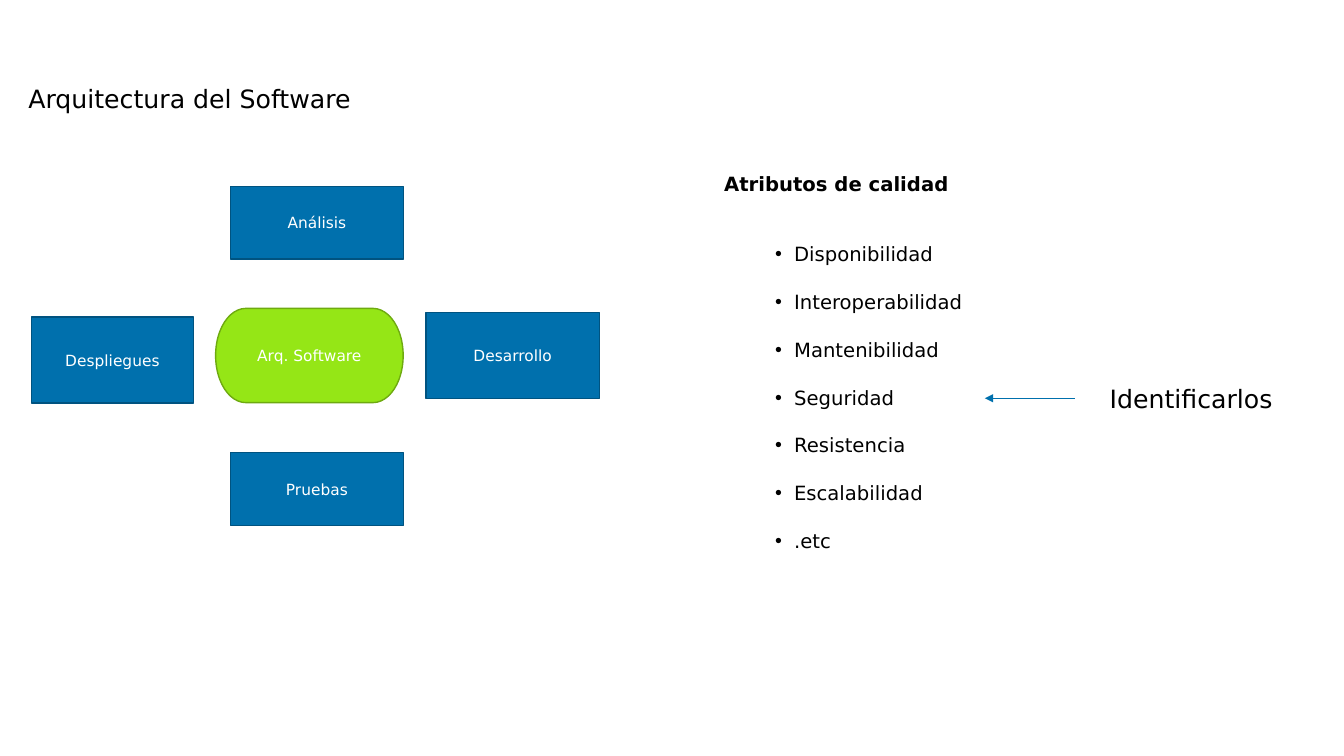
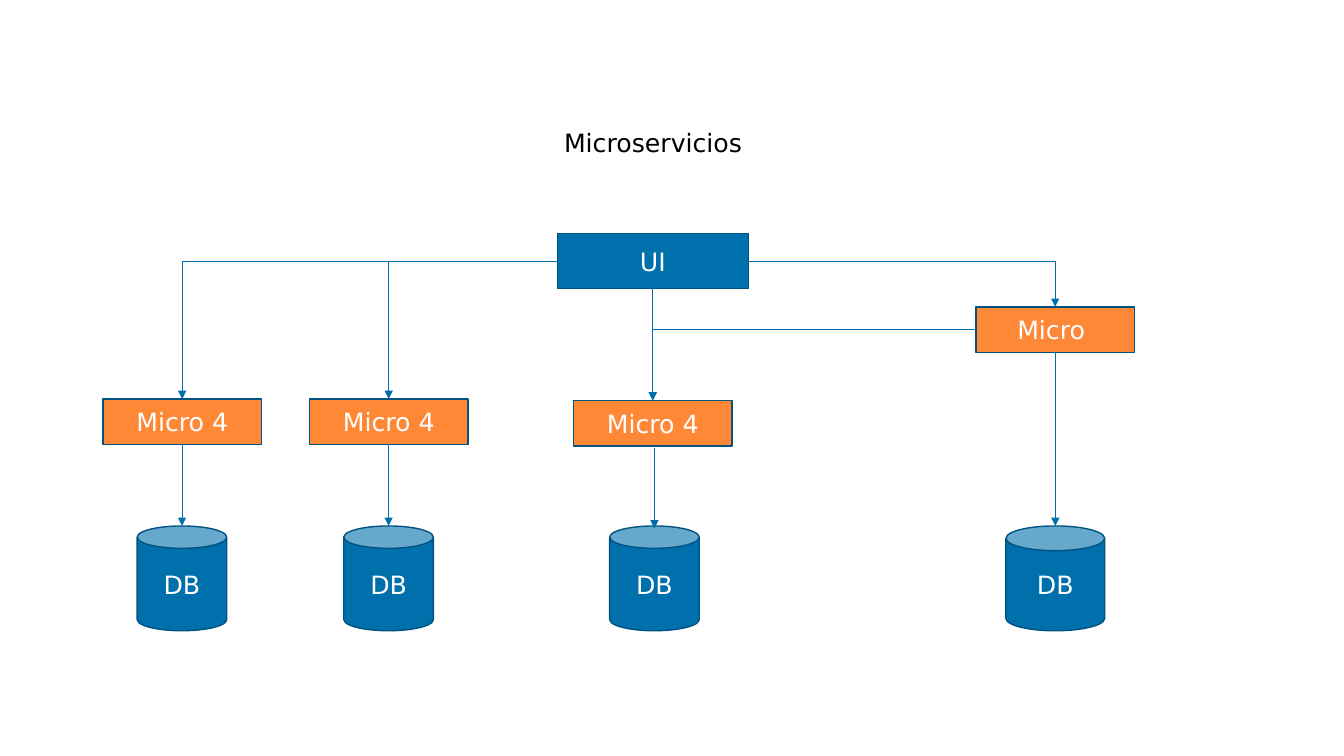
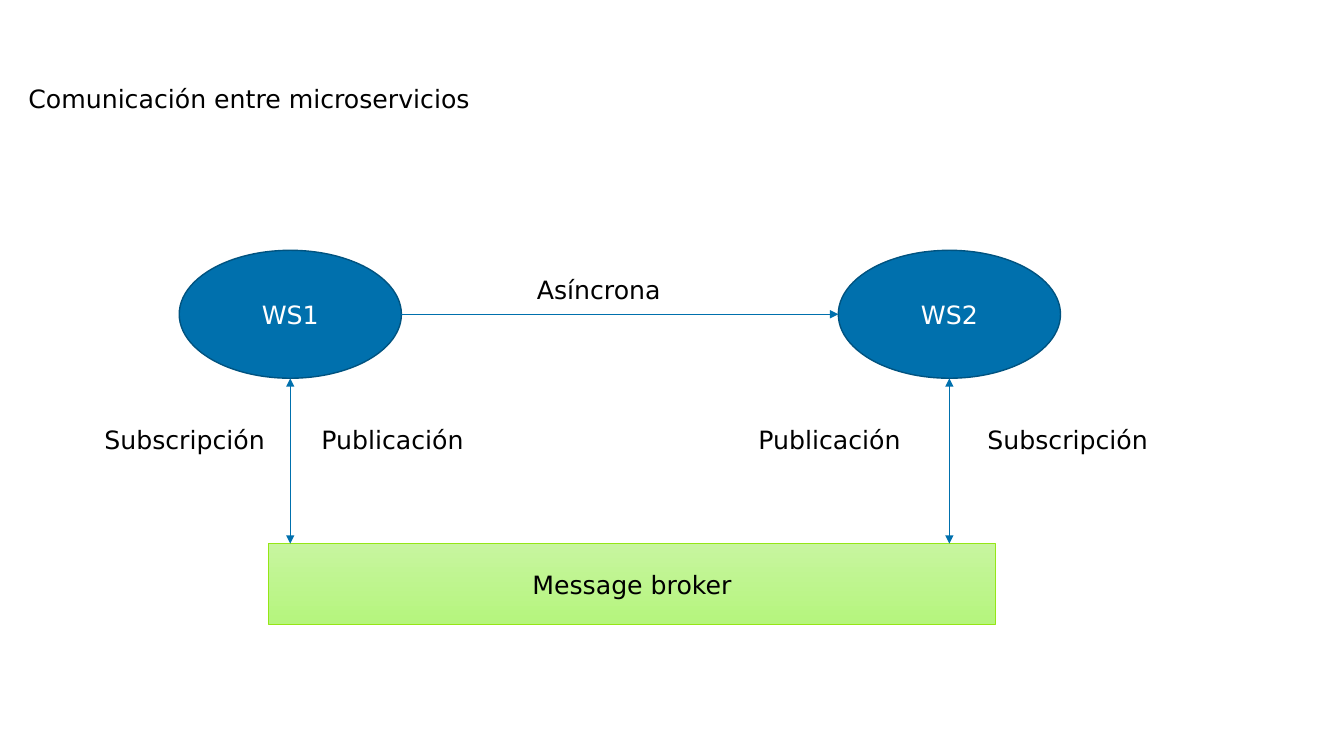
from lxml.etree import SubElement
from pptx import Presentation
from pptx.dml.color import RGBColor
from pptx.enum.shapes import MSO_CONNECTOR as LINK, MSO_SHAPE as SHAPE
from pptx.enum.text import MSO_ANCHOR as ANCHOR, MSO_AUTO_SIZE as AUTOSIZE, PP_ALIGN as ALIGN
from pptx.oxml.ns import qn
from pptx.util import Pt

FONT = "DejaVu Sans"
BLACK = RGBColor(0x00, 0x00, 0x00)
WHITE = RGBColor(0xFF, 0xFF, 0xFF)
BLUE = RGBColor(0x00, 0x70, 0xAD)
DARK_BLUE = RGBColor(0x00, 0x53, 0x80)
ORANGE = RGBColor(0xFF, 0x88, 0x37)
GREEN = RGBColor(0x95, 0xE6, 0x16)
DARK_GREEN = RGBColor(0x6E, 0xAA, 0x10)
PALE_GREEN = RGBColor(0xC7, 0xF5, 0x9F)
SOFT_GREEN = RGBColor(0xB5, 0xF5, 0x7D)

TITLE_AND_CONTENT, TITLE_ONLY = 1, 5


def write(frame, text, size=18, color=BLACK, align=ALIGN.LEFT, bold=False,
          before=0, spacing=1.0, indent=0, bullet=None):
    """Add a paragraph to the frame, filling its first one if that is empty."""
    para = frame.paragraphs[0]
    if para.runs:
        para = frame.add_paragraph()
    properties = para._p.get_or_add_pPr()
    properties.set("marL", str(Pt(indent)))
    if bullet:
        properties.set("indent", str(Pt(-13.5)))
        SubElement(properties, qn("a:buFont"), typeface="Arial")
        SubElement(properties, qn("a:buChar"), char=bullet)
    else:
        properties.set("indent", "0")
        SubElement(properties, qn("a:buNone"))
    para.alignment = align
    para.line_spacing = spacing
    para.space_before = Pt(before)
    span = para.add_run()
    span.text = text
    span.font.name = FONT
    span.font.size = Pt(size)
    span.font.bold = bold
    span.font.color.rgb = color


def side(box, name):
    """Return the midpoint of the named side of a box."""
    across = {"left": 0, "right": 1}.get(name, 0.5)
    down = {"top": 0, "bottom": 1}.get(name, 0.5)
    return int(box.left + across * box.width), int(box.top + down * box.height)


class Slides:
    """The deck, its style and the slide being drawn."""

    def __init__(self):
        self.deck = Presentation()
        self.deck.slide_width, self.deck.slide_height = Pt(960), Pt(540)
        self.page = None

    def start(self, title, layout=TITLE_ONLY, top=58.3, align=ALIGN.LEFT):
        self.page = self.deck.slides.add_slide(self.deck.slide_layouts[layout])
        frame = self.place(self.page.shapes.title, 13, top, 907, 40)
        write(frame, title, align=align, spacing=0.9)

    def place(self, box, left, top, width, height):
        """Position a text holder and return its frame, anchored at the top."""
        box.left, box.top, box.width, box.height = Pt(left), Pt(top), Pt(width), Pt(height)
        frame = box.text_frame
        frame.word_wrap = True
        frame.auto_size = AUTOSIZE.NONE
        frame.vertical_anchor = ANCHOR.TOP
        return frame

    def bullets(self, heading, items, left, top, width, height):
        frame = self.place(self.page.placeholders[1], left, top, width, height)
        write(frame, heading, size=14, bold=True)
        for number, item in enumerate(items):
            write(frame, item, size=14, before=17.3 if number else 33.7, indent=50, bullet="•")

    def label(self, text, left, top, width=194):
        box = self.page.shapes.add_textbox(0, 0, 0, 0)
        write(self.place(box, left, top, width, 29), text)

    def shape(self, text, left, top, width, height, kind=SHAPE.RECTANGLE, fill=BLUE,
              fade=None, outline=DARK_BLUE, weight=1, size=18, color=WHITE):
        """Draw a shape with text; fade is the bottom colour of a gradient."""
        box = self.page.shapes.add_shape(kind, Pt(left), Pt(top), Pt(width), Pt(height))
        box.shadow.inherit = False
        if fade:
            box.fill.gradient()
            box.fill.gradient_angle = 270
            for stop, shade in zip(box.fill.gradient_stops, (fill, fade)):
                stop.color.rgb = shade
        else:
            box.fill.solid()
            box.fill.fore_color.rgb = fill
        box.line.color.rgb = outline
        box.line.width = Pt(weight)
        box.text_frame.word_wrap = True
        box.text_frame.vertical_anchor = ANCHOR.MIDDLE
        write(box.text_frame, text, size=size, color=color, align=ALIGN.CENTER)
        return box

    def arrow(self, start, end, bent=False, double=False):
        """Draw an arrow; a bent one runs across first and then down."""
        link = self.page.shapes.add_connector(LINK.ELBOW if bent else LINK.STRAIGHT, *start, *end)
        properties = link._element.spPr
        if bent:
            properties.find(qn("a:prstGeom")).set("prst", "bentConnector2")
        link.line.color.rgb = BLUE
        link.line.width = Pt(0.5)
        line = properties.find(qn("a:ln"))
        for tip in ("a:headEnd", "a:tailEnd") if double else ("a:tailEnd",):
            SubElement(line, qn(tip), type="triangle")
        SubElement(properties, qn("a:effectLst"))


def draw_architecture(slides):
    slides.start("Arquitectura del Software", layout=TITLE_AND_CONTENT)
    slides.shape("Arq. Software", 154, 220.3, 134, 67.3, kind=SHAPE.FLOWCHART_TERMINATOR,
                 fill=GREEN, outline=DARK_GREEN, size=11)
    for phase, left, top, width, height in (
            ("Análisis", 164.6, 133.2, 123.5, 52),
            ("Desarrollo", 304.2, 223.3, 124, 61.3),
            ("Pruebas", 164.6, 323.4, 123.5, 52),
            ("Despliegues", 22.4, 226.5, 116, 61.3)):
        slides.shape(phase, left, top, width, height, size=11)
    slides.bullets("Atributos de calidad",
                   ("Disponibilidad", "Interoperabilidad", "Mantenibilidad", "Seguridad",
                    "Resistencia", "Escalabilidad", ".etc"),
                   510, 119, 319, 279)
    slides.label("Identificarlos", 785.6, 270, width=170)
    slides.arrow((Pt(767.7), Pt(284.5)), (Pt(703.5), Pt(284.5)))


def draw_microservices(slides):
    slides.start("Microservicios", top=89.7, align=ALIGN.CENTER)
    screen = slides.shape("UI", 398, 167, 136.6, 39)
    services = []
    for name, left, top, store_left, store_width, gap in (
            ("Micro 4", 73.5, 285, 98, 64, 0),
            ("Micro 4", 221, 285, 245.6, 64, 0),
            ("Micro 4", 409.6, 286, 435.5, 64, 1.8),
            ("Micro ", 697, 219.2, 718.5, 70.6, 0)):
        service = slides.shape(name, left, top, 113.4, 32.5, fill=ORANGE)
        store = slides.shape("DB", store_left, 375.7, store_width, 74.9, kind=SHAPE.CAN)
        center, store_top = side(store, "top")
        slides.arrow((center, service.top + service.height + Pt(gap)),
                     (center, store_top + Pt(gap)))
        services.append(service)
    first, second, third, fourth = services
    for origin, edge, target in ((screen, "right", fourth), (fourth, "left", third),
                                 (screen, "left", second), (screen, "left", first)):
        slides.arrow(side(origin, edge), side(target, "top"), bent=True)
    slides.arrow(side(screen, "bottom"), side(third, "top"))


def draw_communication(slides):
    slides.start("Comunicación entre microservicios")
    sender, receiver = (slides.shape(name, left, 178.8, 158.7, 91.4, kind=SHAPE.OVAL)
                        for name, left in (("WS1", 128), ("WS2", 598.8)))
    slides.arrow(side(sender, "right"), side(receiver, "left"))
    slides.label("Asíncrona", 376.4, 192.5)
    broker = slides.shape("Message broker", 191.9, 388.3, 519.2, 58, fill=PALE_GREEN,
                          fade=SOFT_GREEN, outline=GREEN, weight=0.5, color=BLACK)
    for service in (sender, receiver):
        center, bottom = side(service, "bottom")
        slides.arrow((center, bottom), (center, broker.top), double=True)
    for text, left in (("Publicación", 222.5), ("Subscripción", 698.3),
                       ("Subscripción", 67.5), ("Publicación", 534.7)):
        slides.label(text, left, 299.5)


def main():
    slides = Slides()
    draw_architecture(slides)
    draw_microservices(slides)
    draw_communication(slides)
    slides.deck.save("out.pptx")


if __name__ == "__main__":
    main()
